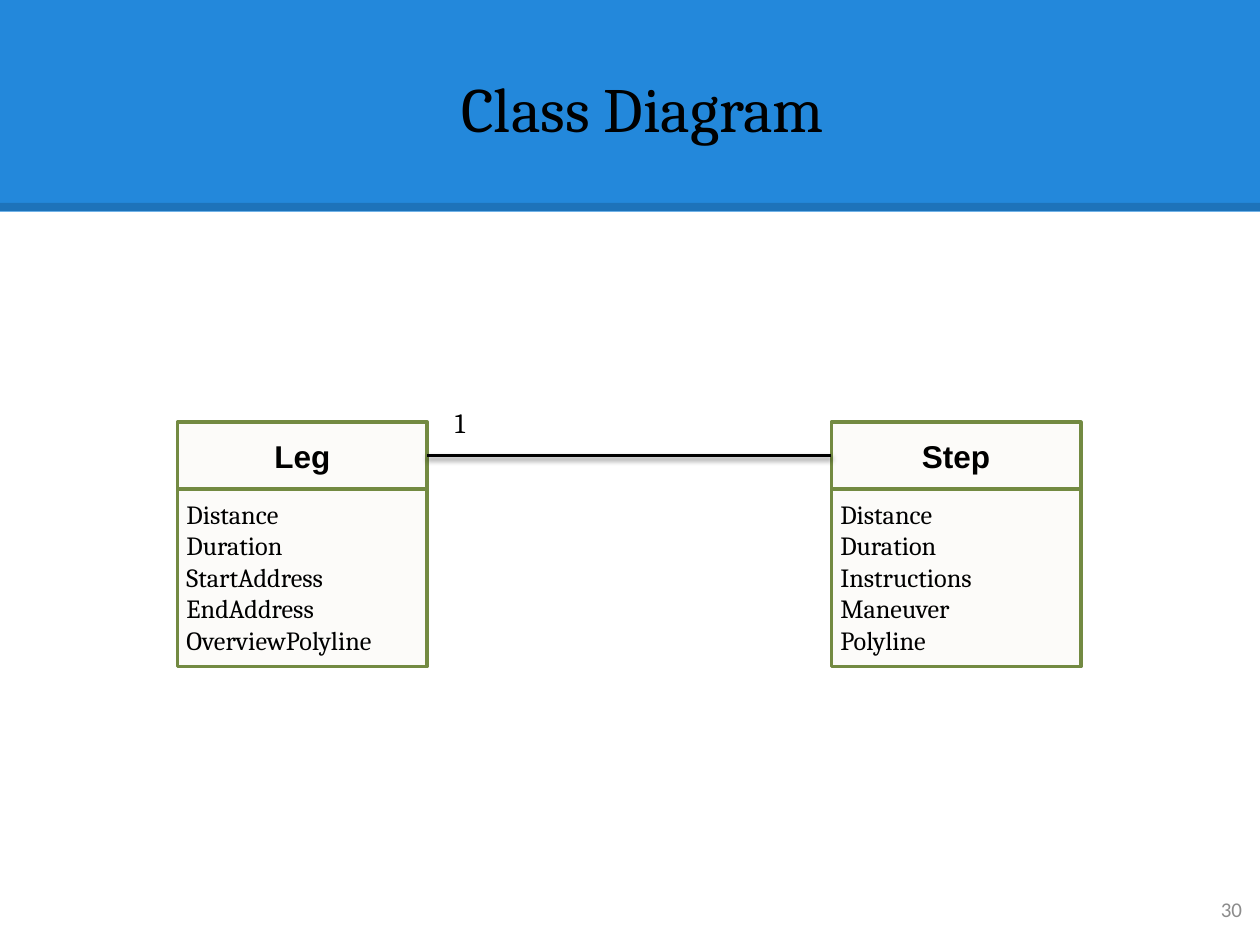
from lxml import etree
from pptx import Presentation
from pptx.dml.color import RGBColor
from pptx.enum.shapes import MSO_CONNECTOR as Connector, MSO_SHAPE as Shape
from pptx.enum.text import MSO_ANCHOR as Anchor, PP_ALIGN as Align
from pptx.oxml import parse_xml
from pptx.oxml.ns import nsdecls, qn
from pptx.util import Cm, Pt

BLUE = RGBColor(0x23, 0x88, 0xDB)
GREEN = RGBColor(0x73, 0x8A, 0x42)
CREAM = RGBColor(0xFC, 0xFB, 0xF9)
BLACK = RGBColor(0x00, 0x00, 0x00)
GRAY = RGBColor(0x8C, 0x8C, 0x8C)

PAGE_WIDTH, PAGE_HEIGHT = Cm(25.4), Cm(19.05)
CLASS_TOP, CLASS_WIDTH = Cm(8.51), Cm(5.03)
NAME_HEIGHT, FIELDS_HEIGHT = Cm(1.35), Cm(3.58)
CLASSES = [
    (Cm(3.58), "Leg",
     ["Distance", "Duration", "StartAddress", "EndAddress", "OverviewPolyline"]),
    (Cm(16.76), "Step",
     ["Distance", "Duration", "Instructions", "Maneuver", "Polyline"]),
]
SOFT_SHADOW = (
    f'<a:effectLst {nsdecls("a")}>'
    '<a:outerShdw blurRad="39370" dist="20320" dir="5400000" rotWithShape="0">'
    '<a:srgbClr val="000000"><a:alpha val="38000"/></a:srgbClr>'
    '</a:outerShdw></a:effectLst>')
NO_SHADOW = f'<a:effectLst {nsdecls("a")}/>'


def write(box, lines, size, font, align=Align.LEFT, anchor=Anchor.TOP,
          inset=Cm(0.25), color=BLACK, bold=False, wrap=True):
    """Fill a shape's text frame with one paragraph per line."""
    frame = box.text_frame
    frame.word_wrap = wrap
    frame.vertical_anchor = anchor
    frame.margin_left = frame.margin_right = inset
    frame.margin_top = frame.margin_bottom = inset
    for index, line in enumerate(lines):
        para = frame.add_paragraph() if index else frame.paragraphs[0]
        para.alignment = align
        span = para.add_run()
        span.text = line
        span.font.size = Pt(size)
        span.font.name = font
        span.font.bold = bold
        span.font.color.rgb = color


def add_rectangle(page, left, top, width, height, fill, outline=None):
    box = page.shapes.add_shape(Shape.RECTANGLE, left, top, width, height)
    box.shadow.inherit = False
    box.fill.solid()
    box.fill.fore_color.rgb = fill
    if outline is None:
        box.line.fill.background()
    else:
        box.line.color.rgb = outline
        box.line.width = Pt(2)
    return box


def add_line(page, start, end, width, effects):
    line = page.shapes.add_connector(Connector.STRAIGHT, *start, *end)
    line.line.color.rgb = BLACK
    line.line.width = Pt(width)
    line._element.spPr.append(parse_xml(effects))
    return line


def add_banner(page):
    add_rectangle(page, 0, 0, PAGE_WIDTH, Cm(4.27), BLUE)
    edge = add_line(page, (0, Cm(4.17)), (PAGE_WIDTH, Cm(4.17)), 4.5, NO_SHADOW)
    color = edge._element.spPr.find(".//" + qn("a:srgbClr"))
    etree.SubElement(color, qn("a:alpha"), val="15000")
    title = page.shapes.add_textbox(Cm(0.61), Cm(0.84), Cm(24.69), Cm(2.34))
    write(title, ["Class Diagram"], 36, "Cambria", Align.CENTER, Anchor.BOTTOM)


def add_class(page, left, name, fields):
    """Draw a class as a name box on a field box; return the name box."""
    body = add_rectangle(page, left, CLASS_TOP + NAME_HEIGHT,
                         CLASS_WIDTH, FIELDS_HEIGHT, CREAM, GREEN)
    write(body, fields, 15, "Cambria", inset=Cm(0.18))
    header = add_rectangle(page, left, CLASS_TOP, CLASS_WIDTH, NAME_HEIGHT,
                           CREAM, GREEN)
    write(header, [name], 18, "Arial", Align.CENTER, Anchor.MIDDLE,
          inset=Cm(0.18), bold=True)
    return header


def add_association(page, source, target):
    middle = source.top + source.height // 2
    line = add_line(page, (source.left + source.width, middle),
                    (target.left, middle), 2, SOFT_SHADOW)
    line.begin_connect(source, 3)
    line.end_connect(target, 1)
    label = page.shapes.add_textbox(Cm(8.92), Cm(8.05), Cm(1.09), Cm(0.94))
    write(label, ["1"], 16, "Cambria", inset=Cm(0.13), wrap=False)
    label.text_frame.margin_left = label.text_frame.margin_right = Cm(0.25)


def add_page_number(page):
    box = page.shapes.add_textbox(Cm(23.77), Cm(17.6), Cm(1.52), Cm(1.45))
    write(box, ["30"], 12, "Calibri", Align.RIGHT, Anchor.MIDDLE, color=GRAY)


def main():
    deck = Presentation()
    deck.slide_width, deck.slide_height = PAGE_WIDTH, PAGE_HEIGHT
    page = deck.slides.add_slide(deck.slide_layouts[6])
    add_banner(page)
    add_page_number(page)
    leg, step = [add_class(page, *details) for details in CLASSES]
    add_association(page, leg, step)
    deck.save("out.pptx")


if __name__ == "__main__":
    main()
